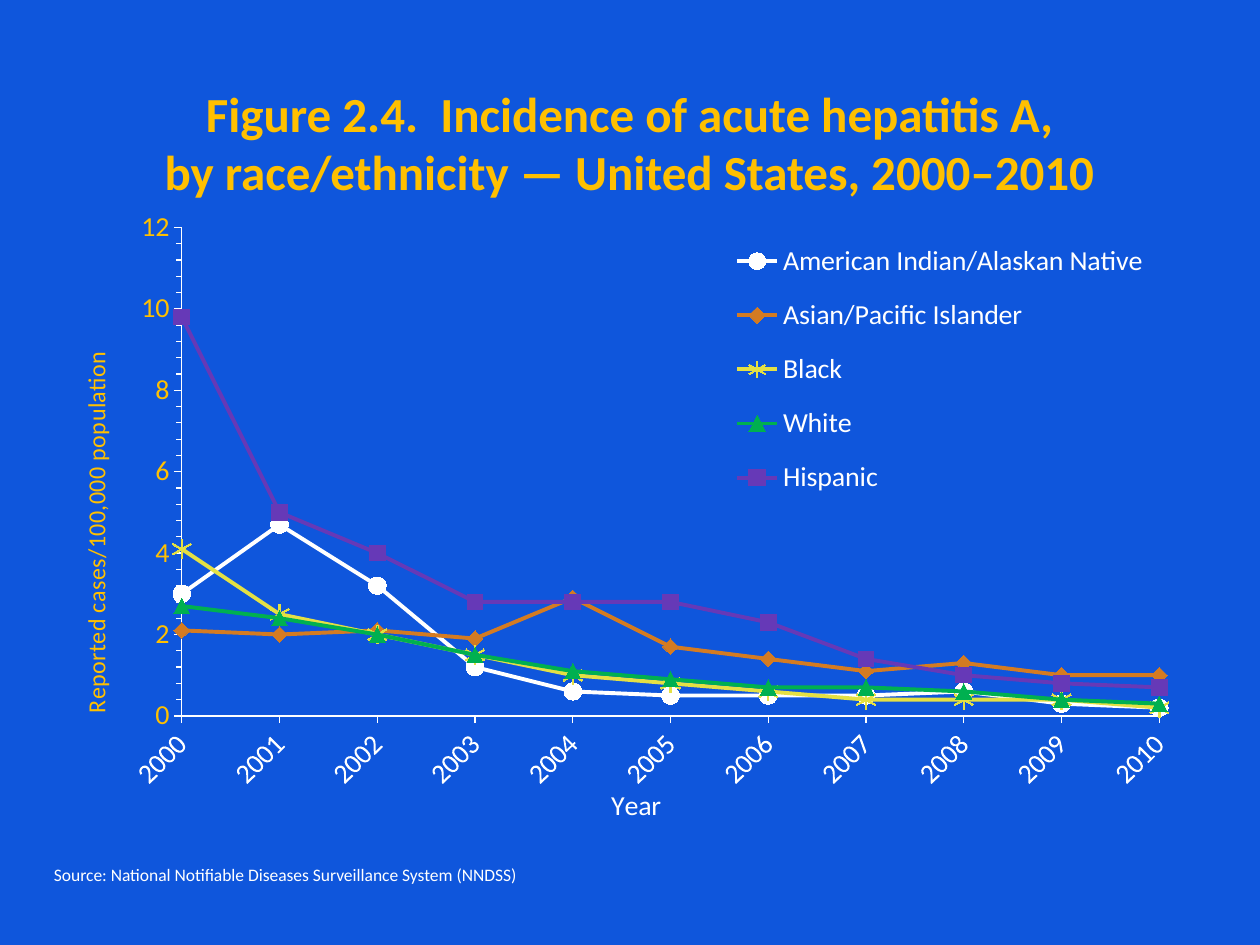
"""Build a slide with a line chart of hepatitis A incidence by race/ethnicity."""
from lxml import etree
from pptx import Presentation
from pptx import util as u
from pptx.chart.data import CategoryChartData
from pptx.dml.color import RGBColor
from pptx.enum import chart as charts, text
from pptx.oxml.ns import qn

FONT = "Calibri"
COLORS = {
    "background": "0F56DC", "gold": "FFC000", "white": "FFFFFF",
    "orange": "D47B22", "yellow": "E4E044", "green": "00B050", "purple": "6639B7",
}
MARKERS = charts.XL_MARKER_STYLE
YEARS = [str(year) for year in range(2000, 2011)]
GROUPS = [
    ("American Indian/Alaskan Native", "white", MARKERS.CIRCLE, 10,
     [3, 4.7, 3.2, 1.2, 0.6, 0.5, 0.5, 0.5, 0.6, 0.3, 0.2]),
    ("Asian/Pacific Islander", "orange", MARKERS.DIAMOND, 9,
     [2.1, 2, 2.1, 1.9, 2.9, 1.7, 1.4, 1.1, 1.3, 1, 1]),
    ("Black", "yellow", MARKERS.STAR, 11,
     [4.1, 2.5, 2, 1.5, 1, 0.8, 0.6, 0.4, 0.4, 0.4, 0.2]),
    ("White", "green", MARKERS.TRIANGLE, 9,
     [2.7, 2.4, 2, 1.5, 1.1, 0.9, 0.7, 0.7, 0.6, 0.4, 0.3]),
    ("Hispanic", "purple", MARKERS.SQUARE, 9,
     [9.8, 5, 4, 2.8, 2.8, 2.8, 2.3, 1.4, 1, 0.8, 0.7]),
]


def color(name):
    return RGBColor.from_string(COLORS[name])


def style_font(font, size, name, bold=False):
    font.name, font.size, font.bold = FONT, u.Pt(size), bold
    font.color.rgb = color(name)


def add_text(slide, place, lines, size, name, bold=False, align=text.PP_ALIGN.LEFT):
    box = slide.shapes.add_textbox(*map(u.Inches, place))
    frame = box.text_frame
    frame.word_wrap = True
    para = frame.paragraphs[0]
    para.alignment = align
    for index, line in enumerate(lines):
        if index:
            para.add_line_break()
        span = para.add_run()
        span.text = line
        style_font(span.font, size, name, bold)
    return box


def set_layout(parent, x, y, width=None, height=None, inner=False):
    for old in parent.findall(qn("c:layout")):
        parent.remove(old)
    layout = etree.Element(qn("c:layout"))
    manual = etree.SubElement(layout, qn("c:manualLayout"))
    values = [("layoutTarget", "inner")] if inner else []
    values += [("xMode", "edge"), ("yMode", "edge"), ("x", x), ("y", y)]
    if width:
        values += [("w", width), ("h", height)]
    for tag, value in values:
        etree.SubElement(manual, qn("c:" + tag)).set("val", str(value))
    overlay = parent.find(qn("c:overlay"))
    if overlay is None:
        parent.insert(0, layout)
    else:
        overlay.addprevious(layout)


def style_axis(axis, title, title_size, name):
    axis.has_major_gridlines = False
    axis.major_tick_mark = charts.XL_TICK_MARK.OUTSIDE
    axis.format.line.color.rgb = color("white")
    axis.format.line.width = u.Pt(0.75)
    style_font(axis.tick_labels.font, 16, name)
    span = axis.axis_title.text_frame.paragraphs[0].add_run()
    span.text = title
    style_font(span.font, title_size, name)


def style_value_axis(axis, element):
    axis.minimum_scale, axis.maximum_scale = 0, 12
    axis.major_unit, axis.minor_unit = 2, 0.4
    axis.minor_tick_mark = charts.XL_TICK_MARK.OUTSIDE
    axis.tick_labels.number_format = "0"
    axis.tick_labels.number_format_is_linked = False
    crossing = element.find(qn("c:crossBetween"))
    if crossing is None:
        crossing = etree.Element(qn("c:crossBetween"))
        element.find(qn("c:crosses")).addnext(crossing)
    crossing.set("val", "midCat")


def rotate(body, degrees):
    body.set("rot", str(degrees * 60000))
    body.set("vert", "horz")


def style_series(series, name, marker, size):
    series.smooth = False
    series.format.line.color.rgb = color(name)
    series.format.line.width = u.Pt(2.25)
    series.marker.style, series.marker.size = marker, size
    series.marker.format.fill.solid()
    series.marker.format.fill.fore_color.rgb = color(name)
    series.marker.format.line.color.rgb = color(name)


def add_incidence_chart(slide, place):
    data = CategoryChartData()
    data.categories = YEARS
    for label, _, _, _, values in GROUPS:
        data.add_series(label, values)
    chart = slide.shapes.add_chart(
        charts.XL_CHART_TYPE.LINE_MARKERS, *map(u.Inches, place), data).chart
    chart.has_title = False
    style_font(chart.font, 18, "gold")
    chart.plots[0].vary_by_categories = False
    for series, (_, name, marker, size, _) in zip(chart.plots[0].series, GROUPS):
        style_series(series, name, marker, size)

    style_axis(chart.category_axis, "Year", 16, "white")
    style_axis(chart.value_axis, "Reported cases/100,000 population", 14, "gold")
    chart.has_legend = True
    chart.legend.position = charts.XL_LEGEND_POSITION.RIGHT
    chart.legend.include_in_layout = False
    style_font(chart.legend.font, 16, "white")

    def find(query):
        return chart.element.xpath(query)[0]

    style_value_axis(chart.value_axis, find(".//c:valAx"))
    rotate(find(".//c:catAx/c:txPr/a:bodyPr"), -45)
    rotate(find(".//c:valAx/c:title//a:bodyPr"), -90)
    set_layout(find(".//c:plotArea"), 0.105, 0.046, 0.864, 0.788, inner=True)
    set_layout(find(".//c:catAx/c:title"), 0.48, 0.94)
    set_layout(find(".//c:valAx/c:title"), 0.01, 0.25)
    set_layout(find(".//c:legend"), 0.58, 0.04, 0.39, 0.47)


def main():
    deck = Presentation()
    deck.slide_width, deck.slide_height = u.Inches(10), u.Inches(7.5)
    slide = deck.slides.add_slide(deck.slide_layouts[6])
    slide.background.fill.solid()
    slide.background.fill.fore_color.rgb = color("background")
    heading = ["Figure 2.4.  Incidence of acute hepatitis A,",
               "by race/ethnicity — United States, 2000–2010"]
    title = add_text(slide, (0.33, 0.58, 9.33, 1.17), heading, 28, "gold",
                     bold=True, align=text.PP_ALIGN.CENTER)
    title.text_frame.margin_top = u.Inches(0.08)
    add_incidence_chart(slide, (0.5, 1.58, 8.98, 5.02))
    source = ["Source: National Notifiable Diseases Surveillance System (NNDSS)"]
    note = add_text(slide, (0.33, 6.81, 8.42, 0.27), source, 10, "white")
    note.text_frame.auto_size = text.MSO_AUTO_SIZE.SHAPE_TO_FIT_TEXT
    deck.save("out.pptx")


if __name__ == "__main__":
    main()
